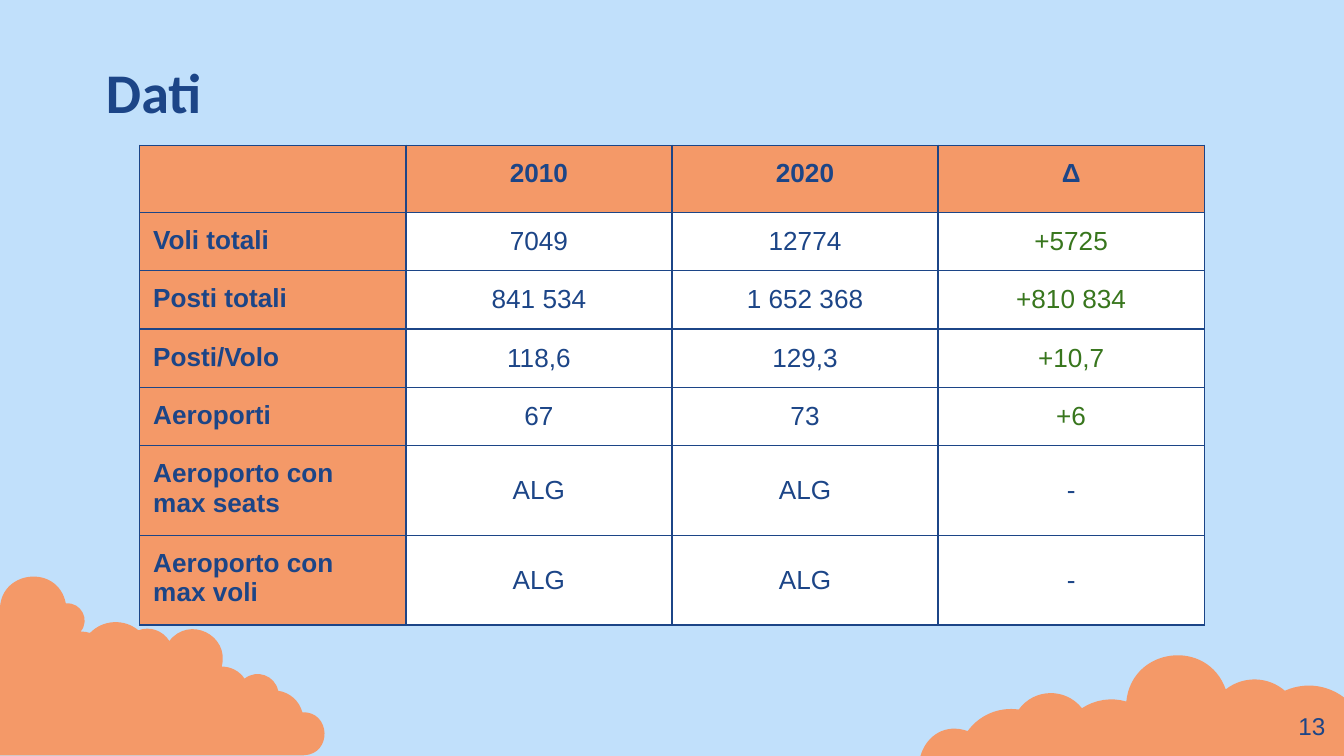
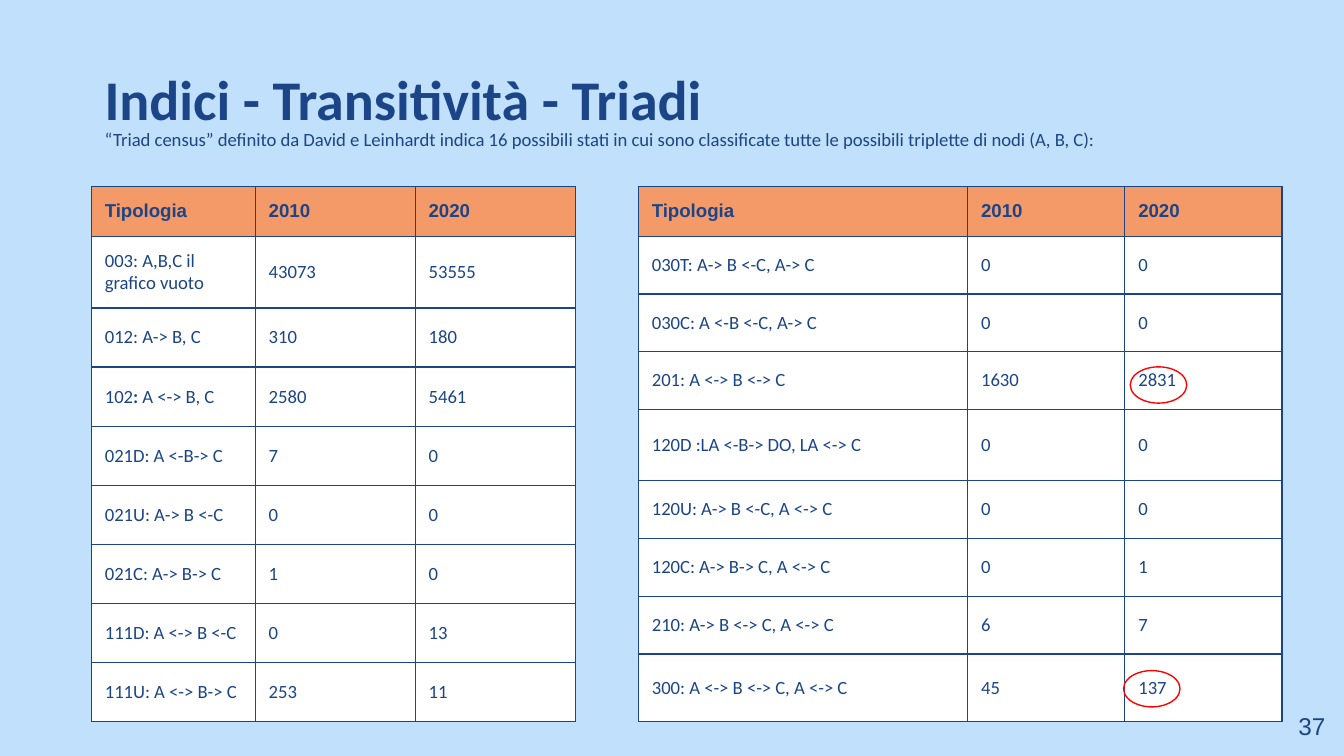
from dataclasses import dataclass
from math import cos, radians, sin

from lxml.etree import SubElement
from pptx import Presentation
from pptx.dml.color import RGBColor
from pptx.enum.shapes import MSO_SHAPE
from pptx.enum.text import MSO_ANCHOR, PP_ALIGN
from pptx.oxml.ns import qn
from pptx.util import Inches, Pt


# Theme
@dataclass(frozen=True)
class Theme:
    sky: str = "C1E0FB"
    navy: str = "1C4587"
    peach: str = "F49968"
    white: str = "FFFFFF"
    green: str = "38761D"
    red: str = "FF0000"
    head: str = "Calibri"
    body: str = "Arial"
    title: int = 30
    large: int = 14
    page: int = 13
    small: int = 10
    line: float = 0.75
    pad: float = 0.1


THEME = Theme()


def rgb(code):
    return RGBColor.from_string(code)


def write(frame, text, size=THEME.small, font=THEME.head, color=THEME.navy,
          bold=False, align=PP_ALIGN.LEFT, space=None):
    """Fill the frame; ** in the text switches bold on and off."""
    para = frame.paragraphs[0]
    para.alignment = align
    if space:
        para.line_spacing = space
    if not text:
        return
    for i, part in enumerate(text.split("**")):
        run = para.add_run()
        run.text = part
        run.font.size = Pt(size)
        run.font.name = font
        run.font.bold = bold != (i % 2 == 1)
        run.font.color.rgb = rgb(color)


def pad(item):
    for side in ("left", "top", "right", "bottom"):
        setattr(item, f"margin_{side}", Inches(THEME.pad))


def curve(start, end, bulge):
    """Bezier points of an arc; bulge is its height over half its chord."""
    (x, y), (u, v) = start, end
    dx, dy = u - x, v - y
    run, rise = (1 - bulge ** 2) / 3, 2 * bulge / 3
    return [(x + dx * run + dy * rise, y + dy * run - dx * rise),
            (u - dx * run + dy * rise, v - dy * run - dx * rise), end]


# Slide builder
class Deck:
    def __init__(self, theme):
        self.theme = theme
        self.file = Presentation()
        self.file.slide_width = Inches(10)
        self.file.slide_height = Inches(5.625)
        self.slide = None

    def page(self, title, box, number):
        self.slide = self.file.slides.add_slide(self.file.slide_layouts[6])
        fill = self.slide.background.fill
        fill.solid()
        fill.fore_color.rgb = rgb(self.theme.sky)
        self.text(title, box, anchor=MSO_ANCHOR.BOTTOM,
                  size=self.theme.title, bold=True)
        self.number = number

    def text(self, text, box, anchor=MSO_ANCHOR.TOP, **style):
        frame = self.slide.shapes.add_textbox(*map(Inches, box)).text_frame
        frame.word_wrap = True
        frame.vertical_anchor = anchor
        pad(frame)
        write(frame, text, **style)

    def foot(self):
        self.text(str(self.number), (9.36, 5.19, 0.6, 0.43),
                  size=self.theme.page, font=self.theme.body,
                  align=PP_ALIGN.RIGHT)

    def table(self, left, top, cols, highs, rows, style):
        """Style takes row, column and text; it gives fill, anchor and format."""
        grid = self.slide.shapes.add_table(
            len(highs), len(cols), Inches(left), Inches(top),
            Inches(sum(cols)), Inches(sum(highs))).table
        grid.first_row = grid.horz_banding = False
        for col, width in zip(grid.columns, cols):
            col.width = Inches(width)
        for r, (row, high) in enumerate(zip(rows, highs)):
            grid.rows[r].height = Inches(high)
            for c, text in enumerate(row):
                self.cell(grid.cell(r, c), text, *style(r, c, text))

    def cell(self, cell, text, fill, anchor, form):
        pad(cell)
        cell.vertical_anchor = anchor
        prop = cell._tc.get_or_add_tcPr()
        for side in "LRTB":
            edge = SubElement(prop, qn(f"a:ln{side}"),
                              w=str(Pt(self.theme.line)))
            solid = SubElement(edge, qn("a:solidFill"))
            SubElement(solid, qn("a:srgbClr"), val=self.theme.navy)
        cell.fill.solid()
        cell.fill.fore_color.rgb = rgb(fill)
        write(cell.text_frame, text, **form)

    def cloud(self, box, start, puffs, turn=0):
        """Join puffs (x, y, bulge) in a box; a puff of no bulge is a line."""
        left, top, wide, high = box
        midx, midy = left + wide / 2, top + high / 2
        co, si = cos(radians(turn)), sin(radians(turn))

        def place(x, y):
            dx, dy = x - midx, y - midy
            return (Inches(dx * co + dy * si + wide / 2),
                    Inches(dy * co - dx * si + high / 2))

        # Outline of corners
        draft = self.slide.shapes.build_freeform(*place(*start))
        draft.add_line_segments([place(x, y) for x, y, _ in puffs])
        shape = draft.convert_to_shape()
        shape.left, shape.top, shape.width, shape.height = map(Inches, box)
        shape.rotation = turn

        # Round the sides
        trace = shape._element.find(".//" + qn("a:path"))
        trace.clear()
        trace.set("w", str(Inches(wide)))
        trace.set("h", str(Inches(high)))

        def step(kind, dots):
            node = SubElement(trace, qn(f"a:{kind}"))
            for x, y in (place(*dot) for dot in dots):
                SubElement(node, qn("a:pt"), x=str(x), y=str(y))

        step("moveTo", [start])
        last = start
        for x, y, bulge in puffs:
            end = (x, y)
            if bulge:
                step("cubicBezTo", curve(last, end, bulge))
            else:
                step("lnTo", [end])
            last = end
        SubElement(trace, qn("a:close"))

        shape.shadow.inherit = False
        shape.fill.solid()
        shape.fill.fore_color.rgb = rgb(self.theme.peach)
        shape.line.fill.background()

    def ring(self, left, top):
        shape = self.slide.shapes.add_shape(
            MSO_SHAPE.OVAL, *map(Inches, (left, top, 0.42, 0.27)))
        shape.shadow.inherit = False
        shape.fill.background()
        shape.line.color.rgb = rgb(self.theme.red)
        shape.line.width = Pt(self.theme.line)


# Table styles
def totals(r, c, text):
    label = r == 0 or c == 0
    form = dict(size=THEME.large, font=THEME.body, bold=label,
                color=THEME.green if text.startswith("+") else THEME.navy,
                align=PP_ALIGN.CENTER if c else PP_ALIGN.LEFT)
    return (THEME.peach if label else THEME.white,
            MSO_ANCHOR.TOP if label else MSO_ANCHOR.MIDDLE, form)


def census(r, c, text):
    if r == 0:
        return THEME.peach, MSO_ANCHOR.TOP, dict(font=THEME.body, bold=True)
    return THEME.white, MSO_ANCHOR.MIDDLE, {}


# Content
FLIGHTS = [
    ("", "2010", "2020", "Δ"),
    ("Voli totali", "7049", "12774", "+5725"),
    ("Posti totali", "841 534", "1 652 368", "+810 834"),
    ("Posti/Volo", "118,6", "129,3", "+10,7"),
    ("Aeroporti", "67", "73", "+6"),
    ("Aeroporto con max seats", "ALG", "ALG", "-"),
    ("Aeroporto con max voli", "ALG", "ALG", "-"),
]
HEAD = ("Tipologia", "2010", "2020")
OPEN = [
    HEAD,
    ("003: A,B,C il grafico vuoto", "43073", "53555"),
    ("012: A-> B, C", "310", "180"),
    ("102**: **A <-> B, C", "2580", "5461"),
    ("021D: A <-B-> C", "7", "0"),
    ("021U: A-> B <-C", "0", "0"),
    ("021C: A-> B-> C", "1", "0"),
    ("111D: A <-> B <-C", "0", "13"),
    ("111U: A <-> B-> C", "253", "11"),
]
CLOSED = [
    HEAD,
    ("030T: A-> B <-C, A-> C", "0", "0"),
    ("030C: A <-B <-C, A-> C", "0", "0"),
    ("201: A <-> B <-> C", "1630", "2831"),
    ("120D :LA <-B-> DO, LA <-> C", "0", "0"),
    ("120U: A-> B <-C, A <-> C", "0", "0"),
    ("120C: A-> B-> C, A <-> C", "0", "1"),
    ("210: A-> B <-> C, A <-> C", "6", "7"),
    ("300: A <-> B <-> C, A <-> C", "45", "137"),
]
LEFT = [(0.49, 4.49, 0.93), (0.6, 4.7, 0.67), (0.67, 4.71, 0.1),
        (1.03, 4.69, 0.39), (1.26, 4.77, 0.36), (1.65, 4.96, 0.82),
        (1.82, 5.05, 0.25), (2.07, 5.14, 0.56), (2.25, 5.3, 0.3),
        (2.26, 5.62, 1), (0, 5.62, 0)]
RIGHT = [(7.2, 5.44, 1), (7.58, 5.28, 0.28), (8.05, 5.27, 0.5),
         (8.38, 5.22, 0.22), (9.12, 5.13, 0.8), (9.56, 5.14, 0.36),
         (10.08, 5.27, 0.35), (10.53, 5.16, 0.63), (11.35, 5.47, 0.94),
         (10.79, 7.18, 0)]


def main():
    deck = Deck(THEME)

    # Flight totals
    deck.page("Dati", (0.69, 0.4, 2.61, 0.63), 13)
    deck.table(1.04, 1.08, [1.98] * 4, [0.42] * 7, FLIGHTS, totals)
    deck.cloud((0, 4.29, 2.41, 1.34), (0, 4.55), LEFT)
    deck.cloud((7, 4.35, 4.24, 2.23), (7.02, 5.95), RIGHT, turn=18)
    deck.foot()

    # Triad census
    deck.page("Indici - Transitività - Triadi", (0.68, 0.45, 5.17, 0.63), 37)
    deck.text("“Triad census” definito da David e Leinhardt indica 16 "
              "possibili stati in cui sono classificate tutte le possibili "
              "triplette di nodi (A, B, C):",
              (0.68, 0.83, 8.47, 0.56), space=1.15)
    deck.table(0.68, 1.39, [1.22, 1.19, 1.19], [0.36, 0.53] + [0.44] * 7,
               OPEN, census)
    deck.table(4.75, 1.39, [2.45, 1.17, 1.17],
               [0.36] + [0.43] * 3 + [0.53] + [0.43] * 3 + [0.5],
               CLOSED, census)
    deck.foot()
    deck.ring(8.36, 4.99)
    deck.ring(8.41, 2.73)

    deck.file.save("out.pptx")


if __name__ == "__main__":
    main()
